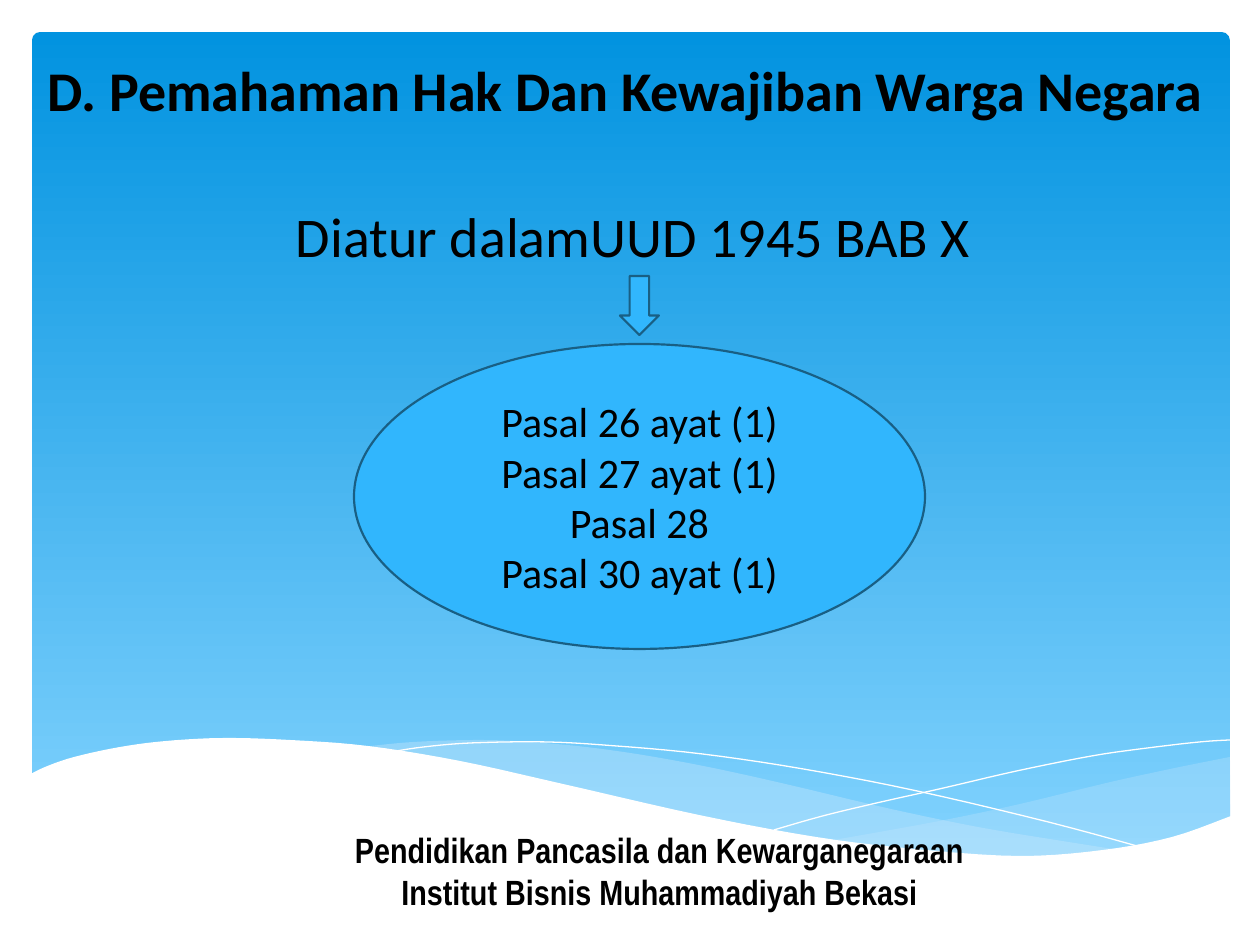
from dataclasses import dataclass

from lxml.etree import SubElement
from pptx import Presentation
from pptx.dml.color import RGBColor
from pptx.enum.shapes import MSO_SHAPE
from pptx.enum.text import MSO_ANCHOR, PP_ALIGN
from pptx.oxml.ns import qn
from pptx.shapes.autoshape import Shape
from pptx.slide import Slide
from pptx.text.text import TextFrame
from pptx.util import Emu, Pt

PX_PER_INCH = 126
EMU_PER_PX = 914400 / PX_PER_INCH
CURVE_STEPS = 5

BLACK = RGBColor(0x00, 0x00, 0x00)
WHITE = RGBColor(0xFF, 0xFF, 0xFF)
SKY_TOP = RGBColor(0x02, 0x93, 0xE0)
SKY_BOTTOM = RGBColor(0x83, 0xD3, 0xFE)
MIST = RGBColor(0xC6, 0xE7, 0xFC)
ACCENT = RGBColor(0x31, 0xB6, 0xFD)
ACCENT_DARK = RGBColor(0x19, 0x5F, 0x84)

Point = tuple[float, float]


@dataclass(frozen=True)
class Box:
    left: int
    top: int
    width: int
    height: int


@dataclass(frozen=True)
class TextStyle:
    font: str
    size: int
    bold: bool = False


@dataclass(frozen=True)
class Label:
    box: Box
    lines: tuple[str, ...]
    style: TextStyle
    anchor: MSO_ANCHOR = MSO_ANCHOR.TOP


@dataclass(frozen=True)
class Wave:
    curves: tuple[tuple[Point, ...], ...]
    color: RGBColor
    opacity: int = 100
    filled: bool = True


WAVES = (
    Wave((
        ((1230, 757), (1180, 767), (1124, 779), (1086, 788), (1016, 805),
         (950, 819), (891, 830), (834, 840)),
        ((834, 840), (889, 848), (940, 854), (985, 856), (1040, 856),
         (1089, 853), (1131, 847), (1171, 838), (1198, 830), (1231, 818)),
    ), MIST, 29),
    Wave((
        ((1126, 851), (1056, 840), (978, 827), (891, 809), (794, 786), (718, 769),
         (649, 756), (586, 747), (529, 742), (479, 740), (413, 742), (362, 747)),
        ((362, 747), (432, 757), (510, 772), (567, 786), (668, 809), (758, 828),
         (839, 842), (911, 852), (975, 856), (1032, 857), (1082, 856), (1126, 851)),
    ), MIST, 40),
    Wave((
        ((391, 752), (424, 747), (472, 743), (546, 742), (616, 746), (702, 754),
         (803, 769), (917, 791), (1048, 822), (1144, 848)),
    ), WHITE, filled=False),
    Wave((
        ((774, 830), (823, 816), (877, 803), (944, 788), (1017, 771), (1092, 756),
         (1148, 748), (1200, 742), (1230, 740)),
    ), WHITE, filled=False),
    Wave((
        ((1231, 816), (1172, 837), (1103, 850), (1019, 856), (915, 849), (816, 837),
         (699, 815), (563, 784), (460, 761), (368, 746), (290, 740), (223, 738),
         (166, 741), (120, 747), (74, 757), (45, 767), (29, 775)),
        ((29, 921), (1231, 921)),
    ), WHITE),
)

BODY = TextStyle("Calibri", 32)
LABELS = (
    Label(Box(74, 822, 1171, 97),
          ("Pendidikan Pancasila dan Kewarganegaraan",
           "Institut Bisnis Muhammadiyah Bekasi"),
          TextStyle("Arial Narrow", 20, True)),
    Label(Box(29, 49, 1193, 149),
          ("D. Pemahaman Hak Dan Kewajiban Warga Negara",),
          TextStyle("Calibri", 32, True)),
    Label(Box(98, 187, 1071, 88), ("Diatur dalamUUD 1945 BAB X",),
          BODY, MSO_ANCHOR.BOTTOM),
)
ARTICLES = Label(
    Box(354, 344, 571, 305),
    ("Pasal 26 ayat (1)", "Pasal 27 ayat (1)", "Pasal 28", "Pasal 30 ayat (1)"),
    TextStyle("Calibri", 24), MSO_ANCHOR.MIDDLE,
)


def px(length: float) -> Emu:
    return Emu(round(length * EMU_PER_PX))


def place(box: Box) -> tuple[Emu, Emu, Emu, Emu]:
    return px(box.left), px(box.top), px(box.width), px(box.height)


def smooth(knots: tuple[Point, ...]) -> list[Point]:
    padded = (knots[0], *knots, knots[-1])
    points = [knots[0]]
    for a, b, c, d in zip(padded, padded[1:], padded[2:], padded[3:]):
        for step in range(1, CURVE_STEPS + 1):
            t = step / CURVE_STEPS
            x, y = (
                b[i] + t * (c[i] - a[i]) / 2
                + t ** 2 * (2 * a[i] - 5 * b[i] + 4 * c[i] - d[i]) / 2
                + t ** 3 * (3 * b[i] - a[i] - 3 * c[i] + d[i]) / 2
                for i in range(2)
            )
            points.append((x, y))
    return points


def add_wave(slide: Slide, wave: Wave) -> None:
    points = [(px(x), px(y)) for curve in wave.curves for x, y in smooth(curve)]
    builder = slide.shapes.build_freeform(*points[0])
    builder.add_line_segments(points[1:], close=wave.filled)
    shape = builder.convert_to_shape()
    shape.shadow.inherit = False
    if not wave.filled:
        shape.fill.background()
        shape.line.color.rgb = wave.color
        shape.line.width = Pt(0)
        return
    shape.line.fill.background()
    shape.fill.solid()
    shape.fill.fore_color.rgb = wave.color
    if wave.opacity < 100:
        color = shape.fill._xPr.find(qn("a:solidFill")).find(qn("a:srgbClr"))
        SubElement(color, qn("a:alpha")).set("val", str(wave.opacity * 1000))


def add_sky(slide: Slide) -> None:
    shape = slide.shapes.add_shape(
        MSO_SHAPE.ROUNDED_RECTANGLE, *place(Box(32, 32, 1198, 832)))
    shape.adjustments[0] = 0.01
    shape.shadow.inherit = False
    shape.line.fill.background()
    shape.fill.gradient()
    shape.fill.gradient_angle = 270
    for stop, color in zip(shape.fill.gradient_stops, (SKY_TOP, SKY_BOTTOM)):
        stop.color.rgb = color


def add_accent_shape(slide: Slide, kind: MSO_SHAPE, box: Box) -> Shape:
    shape = slide.shapes.add_shape(kind, *place(box))
    shape.shadow.inherit = False
    shape.fill.solid()
    shape.fill.fore_color.rgb = ACCENT
    shape.line.color.rgb = ACCENT_DARK
    shape.line.width = Pt(1.25)
    return shape


def write_label(frame: TextFrame, label: Label) -> None:
    frame.word_wrap = True
    frame.vertical_anchor = label.anchor
    for index, line in enumerate(label.lines):
        paragraph = frame.add_paragraph() if index else frame.paragraphs[0]
        paragraph.alignment = PP_ALIGN.CENTER
        run = paragraph.add_run()
        run.text = line
        run.font.name = label.style.font
        run.font.size = Pt(label.style.size)
        run.font.bold = label.style.bold
        run.font.color.rgb = BLACK


def main() -> None:
    presentation = Presentation()
    presentation.slide_width, presentation.slide_height = px(1260), px(945)
    slide = presentation.slides.add_slide(presentation.slide_layouts[6])
    add_sky(slide)
    for wave in WAVES:
        add_wave(slide, wave)
    for label in LABELS:
        write_label(slide.shapes.add_textbox(*place(label.box)).text_frame, label)
    add_accent_shape(slide, MSO_SHAPE.DOWN_ARROW, Box(620, 276, 39, 59))
    ellipse = add_accent_shape(slide, MSO_SHAPE.OVAL, ARTICLES.box)
    write_label(ellipse.text_frame, ARTICLES)
    presentation.save("out.pptx")


if __name__ == "__main__":
    main()
